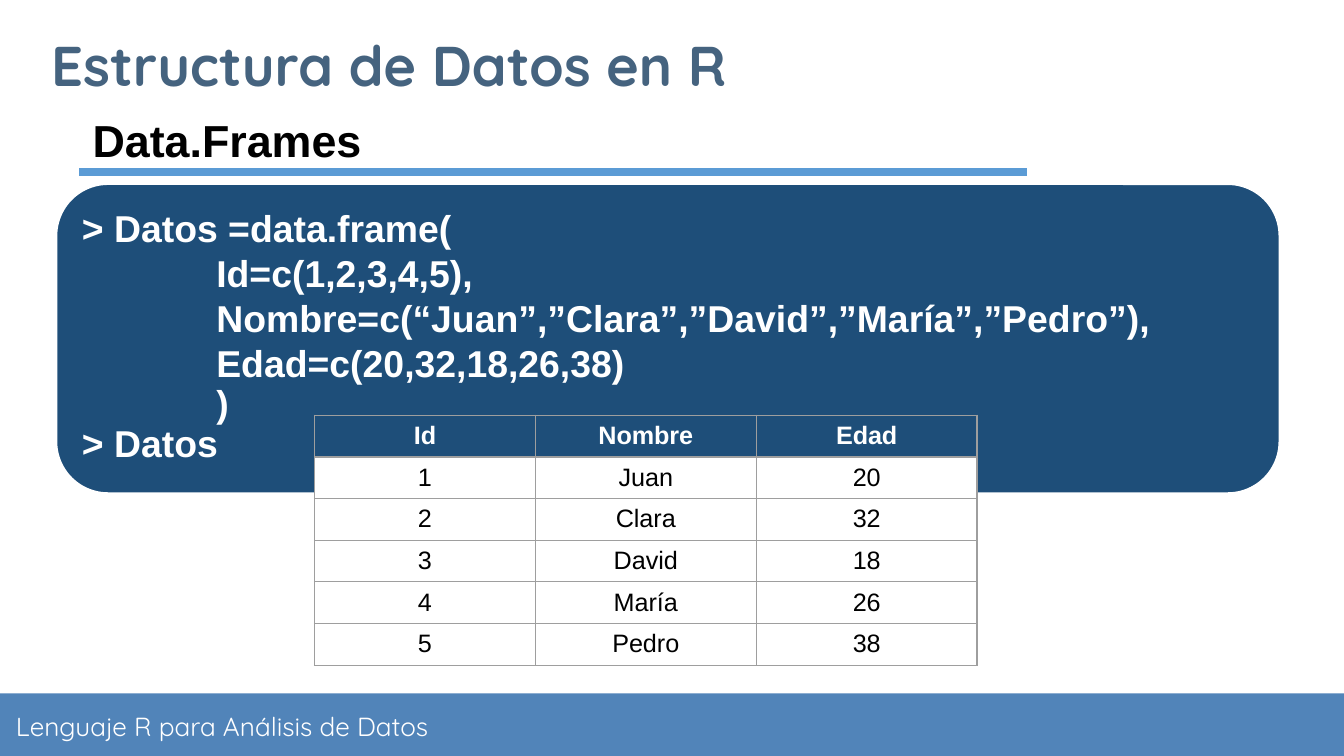
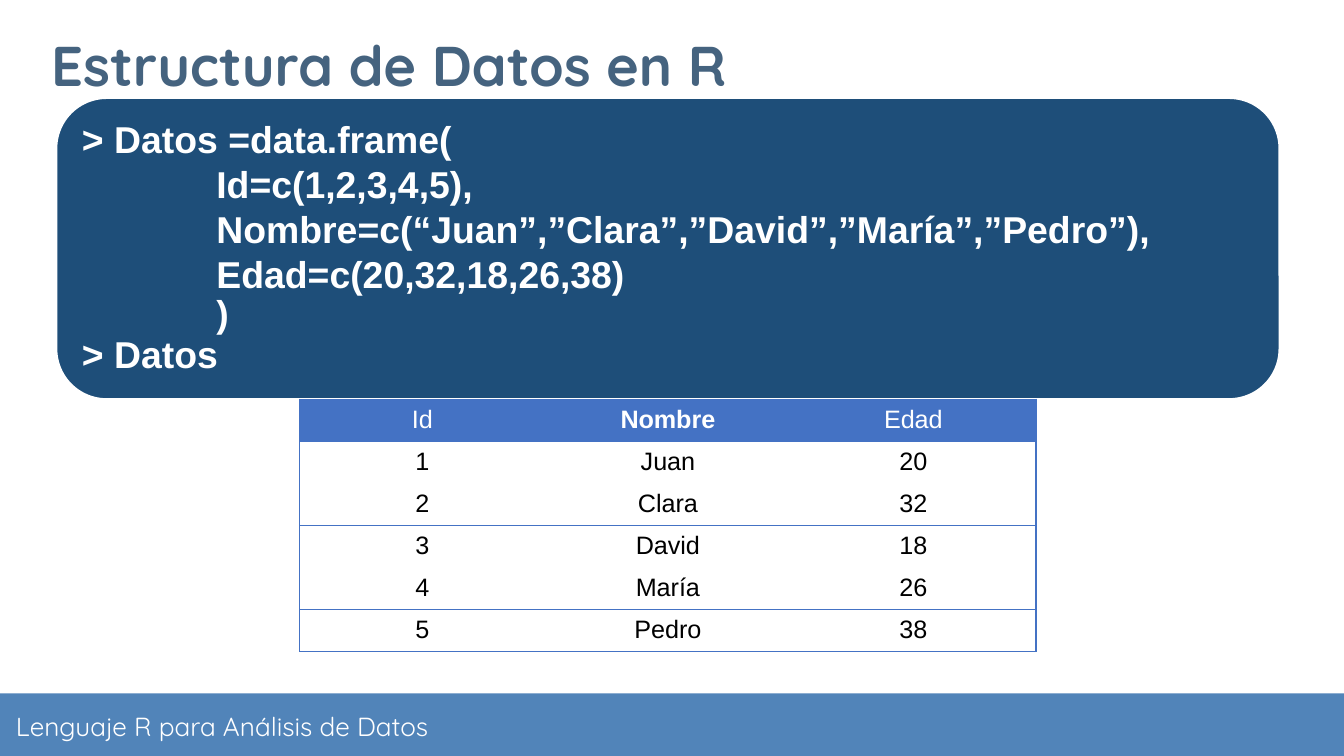
from dataclasses import dataclass
from typing import Any, Optional

from lxml.etree import SubElement
from pptx import Presentation
from pptx.dml.color import RGBColor
from pptx.enum.shapes import MSO_CONNECTOR, MSO_SHAPE
from pptx.enum.text import MSO_ANCHOR, MSO_AUTO_SIZE, PP_ALIGN
from pptx.oxml.ns import qn
from pptx.util import Inches, Pt


@dataclass(frozen=True)
class Theme:
    heading_font: str = "Quicksand"
    body_font: str = "Arial"
    white: str = "FFFFFF"
    black: str = "000000"
    title: str = "45637F"
    band: str = "5184B9"
    rule: str = "5B9BD5"
    panel: str = "1E4E79"
    grid: str = "9E9E9E"
    accent: str = "4472C4"
    title_size: float = 30
    subtitle_size: float = 24
    code_size: float = 20
    footer_size: float = 14
    table_size: float = 13.5


@dataclass(frozen=True)
class Box:
    x: float
    y: float
    w: float
    h: float

    def lengths(self) -> tuple:
        return tuple(Inches(v) for v in (self.x, self.y, self.w, self.h))


@dataclass(frozen=True)
class TextStyle:
    size: float
    color: str
    font: str
    bold: bool = False


@dataclass(frozen=True)
class CodeLine:
    text: str
    spacing: float
    indent: float = 0


@dataclass(frozen=True)
class TableStyle:
    header: str
    border: str
    bold_columns: tuple
    rules: tuple
    column_rules: tuple


@dataclass(frozen=True)
class DataSlide:
    panel: Box
    code: Box
    table: Box
    style: TableStyle
    subtitle: Optional[str] = None


T = Theme()
TITLE = TextStyle(T.title_size, T.title, T.heading_font, True)
SUBTITLE = TextStyle(T.subtitle_size, T.black, T.body_font, True)
CODE = TextStyle(T.code_size, T.white, T.body_font, True)
FOOTER = TextStyle(T.footer_size, T.white, T.heading_font)

CODE_LINES = (
    CodeLine("> Datos =data.frame(", 0.9),
    CodeLine("Id=c(1,2,3,4,5),", 1, 1),
    CodeLine("Nombre=c(“Juan”,”Clara”,”David”,”María”,”Pedro”),", 1, 1),
    CodeLine("Edad=c(20,32,18,26,38)", 1, 1),
    CodeLine(")", 0.9, 1),
    CodeLine("> Datos", 0.9),
)
ROWS = (
    ("Id", "Nombre", "Edad"),
    ("1", "Juan", "20"),
    ("2", "Clara", "32"),
    ("3", "David", "18"),
    ("4", "María", "26"),
    ("5", "Pedro", "38"),
)
SLIDES = (
    DataSlide(
        Box(0.42, 1.37, 9.1, 2.3),
        Box(0.53, 1.48, 8.87, 2.07),
        Box(2.34, 3.09, 4.93, 1.86),
        TableStyle(T.panel, T.grid, (0, 1, 2), tuple(range(7)), (0, 1, 2, 3)),
        "Data.Frames",
    ),
    DataSlide(
        Box(0.42, 0.73, 9.1, 2.24),
        Box(0.53, 0.84, 8.88, 2.02),
        Box(2.23, 2.97, 5.48, 1.88),
        TableStyle(T.accent, T.accent, (1,), (0, 1, 3, 5, 6), (0, 3)),
    ),
)


def apply(target: Any, values: dict) -> None:
    for name, value in values.items():
        setattr(target, name, value)


def set_frame(tf: Any, anchor: Any, side: float, top: float) -> None:
    apply(tf, {
        "word_wrap": True,
        "auto_size": MSO_AUTO_SIZE.NONE,
        "vertical_anchor": anchor,
        "margin_left": Inches(side),
        "margin_right": Inches(side),
        "margin_top": Inches(top),
        "margin_bottom": Inches(top),
    })


def write(p: Any, text: str, style: TextStyle, align: Any = PP_ALIGN.LEFT) -> None:
    p.alignment = align
    r = p.add_run()
    r.text = text
    apply(r.font, {"name": style.font, "size": Pt(style.size), "bold": style.bold})
    r.font.color.rgb = RGBColor.from_string(style.color)


def add_text(s: Any, box: Box, text: str, style: TextStyle, anchor: Any, top: float) -> Any:
    tb = s.shapes.add_textbox(*box.lengths())
    set_frame(tb.text_frame, anchor, 0.1, top)
    write(tb.text_frame.paragraphs[0], text, style)
    return tb


def add_block(s: Any, kind: Any, box: Box, fill: str) -> Any:
    sp = s.shapes.add_shape(kind, *box.lengths())
    sp.shadow.inherit = False
    sp.fill.solid()
    sp.fill.fore_color.rgb = RGBColor.from_string(fill)
    sp.line.fill.background()
    return sp


def add_title(s: Any) -> None:
    sp = s.shapes.title
    apply(sp, dict(zip(("left", "top", "width", "height"),
                       Box(0.28, 0.22, 6.59, 0.51).lengths())))
    set_frame(sp.text_frame, MSO_ANCHOR.MIDDLE, 0.1, 0.1)
    write(sp.text_frame.paragraphs[0], "Estructura de Datos en R", TITLE)


def add_footer(s: Any) -> None:
    band = add_block(s, MSO_SHAPE.RECTANGLE, Box(0, 5.16, 10, 0.47), T.band)
    label = add_text(s, Box(0.02, 5.17, 4.97, 0.47), "Lenguaje R para Análisis de Datos",
                     FOOTER, MSO_ANCHOR.MIDDLE, 0.1)
    layout = s.slide_layout.shapes
    first_id = max(sp.shape_id for sp in layout) + 1
    for number, sp in enumerate((band, label), first_id):
        sp.element.nvSpPr.cNvPr.set("id", str(number))
        layout.element.append(sp.element)


def add_subtitle(s: Any, text: str) -> None:
    add_text(s, Box(0.59, 0.79, 2.22, 0.5), text, SUBTITLE, MSO_ANCHOR.TOP, 0.05)
    rule = s.shapes.add_connector(MSO_CONNECTOR.STRAIGHT, Inches(0.59), Inches(1.28),
                                  Inches(7.64), Inches(1.28))
    rule.line.color.rgb = RGBColor.from_string(T.rule)
    rule.line.width = Pt(4.5)
    SubElement(rule.element.spPr, qn("a:effectLst"))


def add_code(s: Any, panel: Box, box: Box) -> None:
    sp = add_block(s, MSO_SHAPE.ROUNDED_RECTANGLE, panel, T.panel)
    sp.adjustments[0] = 0.167
    sp.line.color.rgb = RGBColor.from_string(T.white)
    sp.line.width = Pt(1)
    tf = s.shapes.add_textbox(*box.lengths()).text_frame
    set_frame(tf, MSO_ANCHOR.MIDDLE, 0.08, 0.08)
    for i, line in enumerate(CODE_LINES):
        p = tf.add_paragraph() if i else tf.paragraphs[0]
        write(p, line.text, CODE)
        p.line_spacing = line.spacing
        if line.indent:
            p._p.get_or_add_pPr().set("marL", str(Inches(line.indent)))


def set_border(cell: Any, side: str, color: Optional[str]) -> None:
    ln = SubElement(cell._tc.get_or_add_tcPr(), qn(f"a:ln{side}"), w=str(Pt(0.75)))
    if color:
        fill = SubElement(ln, qn("a:solidFill"))
        SubElement(fill, qn("a:srgbClr"), val=color)
    else:
        SubElement(ln, qn("a:noFill"))


def add_data_table(s: Any, box: Box, style: TableStyle) -> None:
    table = s.shapes.add_table(len(ROWS), len(ROWS[0]), *box.lengths()).table
    apply(table, {"first_row": False, "horz_banding": False})
    for column in table.columns:
        column.width = Inches(box.w / len(ROWS[0]))
    for i, row in enumerate(ROWS):
        table.rows[i].height = Inches(box.h / len(ROWS))
        for j, text in enumerate(row):
            cell = table.cell(i, j)
            apply(cell, {"margin_left": Inches(0.1), "margin_right": Inches(0.1),
                         "margin_top": Inches(0.05), "margin_bottom": Inches(0.05)})
            edges = {"L": j in style.column_rules, "R": j + 1 in style.column_rules,
                     "T": i in style.rules, "B": i + 1 in style.rules}
            for side, shown in edges.items():
                set_border(cell, side, style.border if shown else None)
            header = i == 0
            cell.fill.solid()
            cell.fill.fore_color.rgb = RGBColor.from_string(style.header if header else T.white)
            font = TextStyle(T.table_size, T.white if header else T.black, T.body_font,
                             header and j in style.bold_columns)
            write(cell.text_frame.paragraphs[0], text, font, PP_ALIGN.CENTER)


def add_data_slide(prs: Any, data: DataSlide) -> Any:
    s = prs.slides.add_slide(prs.slide_layouts[5])
    add_title(s)
    if data.subtitle:
        add_subtitle(s, data.subtitle)
    add_code(s, data.panel, data.code)
    add_data_table(s, data.table, data.style)
    return s


prs = Presentation()
apply(prs, {"slide_width": Inches(10), "slide_height": Inches(10 * 9 / 16)})
slides = [add_data_slide(prs, data) for data in SLIDES]
add_footer(slides[0])
prs.save("out.pptx")
